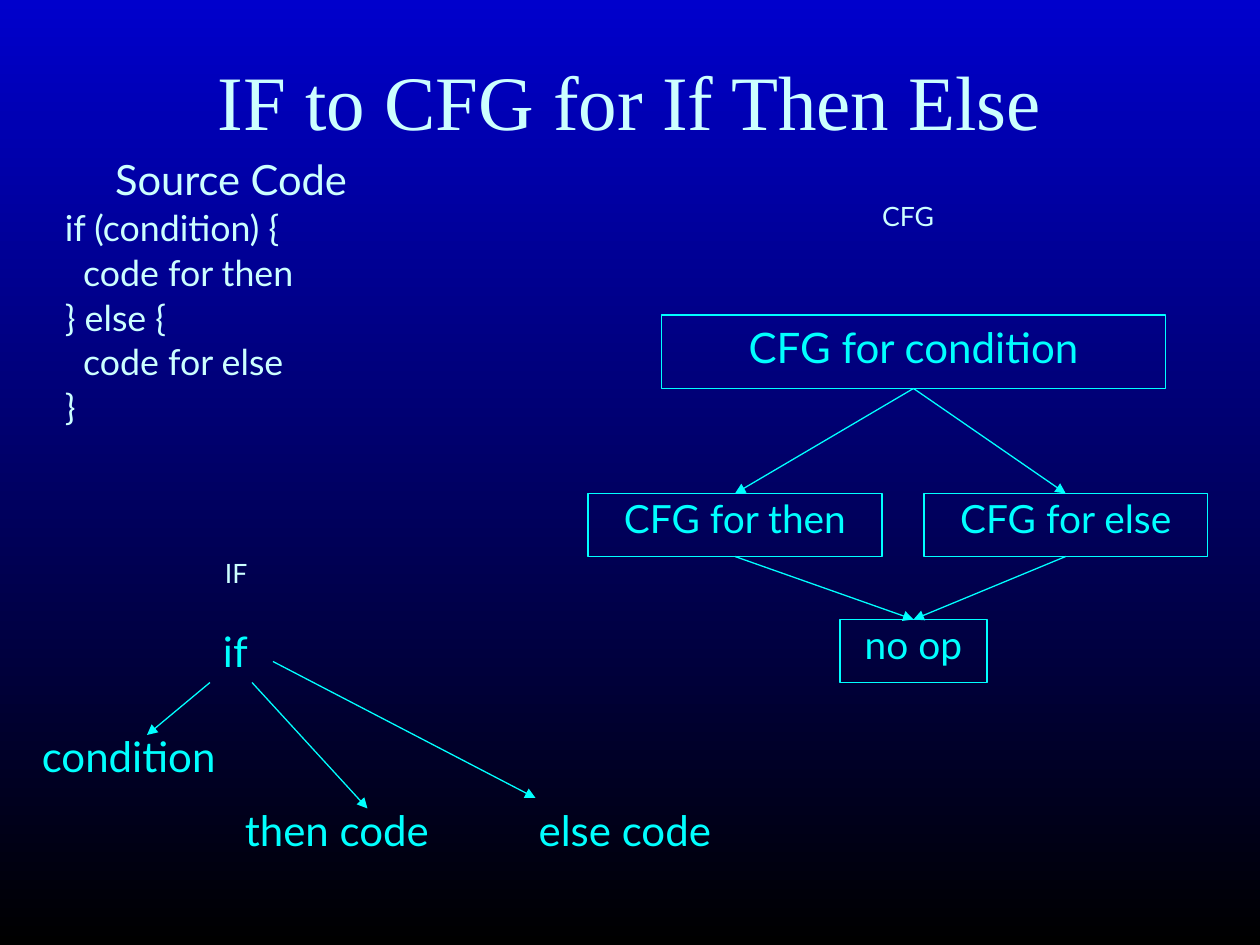
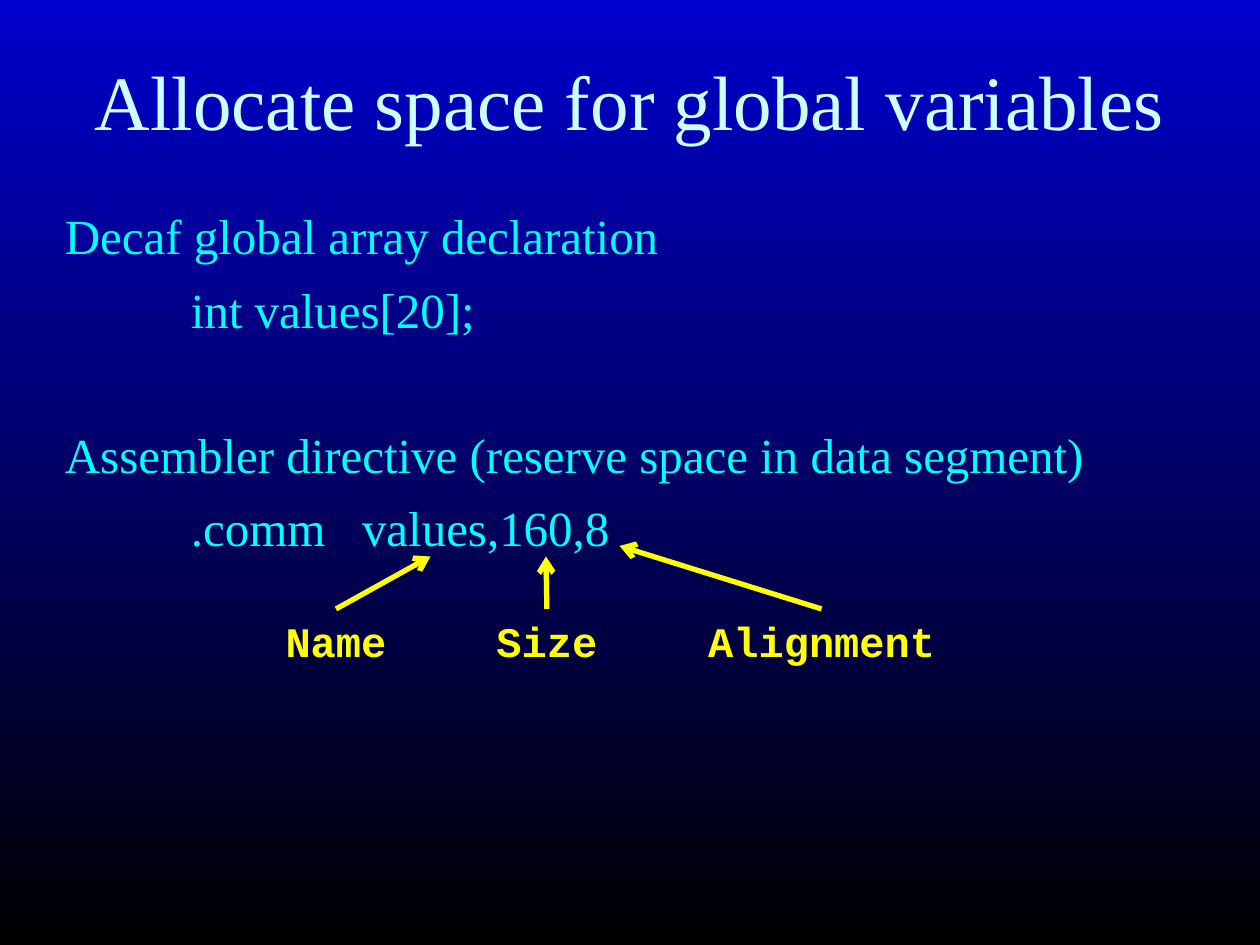
"""Build two compiler slides: control flow for if-then-else, and space for global variables."""
import pptx
import pptx.util
import pptx.dml.color
import pptx.enum.shapes
import pptx.enum.text
import pptx.oxml

Pt = pptx.util.Pt
RGBColor = pptx.dml.color.RGBColor
ALIGN = pptx.enum.text.PP_ALIGN
ANCHOR = pptx.enum.text.MSO_ANCHOR
SHAPE = pptx.enum.shapes.MSO_SHAPE
STRAIGHT = pptx.enum.shapes.MSO_CONNECTOR.STRAIGHT

SKY = RGBColor(0x00, 0x00, 0xCC)
BLACK = RGBColor(0x00, 0x00, 0x00)
PALE = RGBColor(0xCC, 0xFF, 0xFF)
CYAN = RGBColor(0x00, 0xFF, 0xFF)
YELLOW = RGBColor(0xFF, 0xFF, 0x00)
SERIF, SANS, MONO = "Times New Roman", "Lato", "Courier New"
BOTTOM_SITE, TOP_SITE = 2, 0


def write(shape, lines, font, size, color, align=ALIGN.CENTER, wrap=True,
          spacing=1.0, anchor=ANCHOR.TOP, bold=False):
    """Fill a shape with uniformly styled paragraphs and return them."""
    frame = shape.text_frame
    frame.word_wrap = wrap
    frame.vertical_anchor = anchor
    frame.text = "\n".join(lines)
    for paragraph in frame.paragraphs:
        paragraph.alignment = align
        paragraph.line_spacing = spacing
        paragraph.font.name = font
        paragraph.font.size = Pt(size)
        paragraph.font.color.rgb = color
        paragraph.font.bold = bold
    return frame.paragraphs


def arrow(slide, start, end, color, width, head):
    """Draw a straight arrow between two points and return it."""
    line = slide.shapes.add_connector(STRAIGHT, *map(Pt, start + end))
    line.line.color.rgb = color
    line.line.width = Pt(width)
    namespace = pptx.oxml.ns.nsdecls("a")
    line.line._get_or_add_ln().append(
        pptx.oxml.parse_xml(f'<a:tailEnd {namespace} type="{head}"/>'))
    line._element.spPr.append(pptx.oxml.parse_xml(f"<a:effectLst {namespace}/>"))
    return line


deck = pptx.Presentation()
deck.slide_width, deck.slide_height = Pt(720), Pt(540)

backdrop = deck.slide_master.background.fill
backdrop.gradient()
backdrop.gradient_angle = 270
for stop, color, position in zip(backdrop.gradient_stops, (SKY, BLACK), (0, 1)):
    stop.color.rgb = color
    stop.position = position

slides = []
for heading in ("IF to CFG for If Then Else", "Allocate space for global variables"):
    slide = deck.slides.add_slide(deck.slide_layouts[6])
    title = slide.shapes.add_textbox(Pt(30), Pt(12), Pt(660), Pt(90))
    write(title, [heading], SERIF, 44, PALE, anchor=ANCHOR.MIDDLE)
    slides.append(slide)
branching, allocation = slides

source_code = branching.shapes.add_textbox(Pt(30), Pt(90), Pt(204), Pt(210))
caption, *code = write(
    source_code,
    ["Source Code", "if (condition) {", "  code for then", "} else {", "  code for else", "}"],
    SANS, 20.4, PALE, align=ALIGN.LEFT, spacing=0.8)
caption.alignment = ALIGN.CENTER
caption.font.size = Pt(23.8)
for statement in code:
    statement.space_before = Pt(6)

for name, left, top in (("IF", 84, 318), ("CFG", 468, 114)):
    label = branching.shapes.add_textbox(Pt(left), Pt(top), Pt(102), Pt(48))
    write(label, [name], SANS, 15.2, PALE, spacing=0.8)

blocks = {}
for name, left, top, width, height, size, spacing in (
    ("CFG for condition", 378, 180, 288, 42, 24, 1.0),
    ("CFG for then", 336, 282, 168, 36, 22.2, 0.9),
    ("CFG for else", 528, 282, 162, 36, 22.2, 0.9),
    ("no op", 480, 354, 84, 36, 22.2, 0.9),
):
    block = branching.shapes.add_shape(SHAPE.RECTANGLE, Pt(left), Pt(top), Pt(width), Pt(height))
    block.shadow.inherit = False
    block.fill.background()
    block.line.color.rgb = CYAN
    block.line.width = Pt(0.75)
    write(block, [name], SANS, size, CYAN, spacing=spacing)
    blocks[name] = block

for branch in ("CFG for then", "CFG for else"):
    for source, target in (("CFG for condition", branch), (branch, "no op")):
        edge = arrow(branching, (0, 0), (0, 0), CYAN, 0.75, "triangle")
        edge.begin_connect(blocks[source], BOTTOM_SITE)
        edge.end_connect(blocks[target], TOP_SITE)

for node, left, top, width in (
    ("if", 120, 354, 29), ("condition", 13.5, 414, 120),
    ("then code", 129, 456, 127), ("else code", 297, 456, 120),
):
    tree_node = branching.shapes.add_textbox(Pt(left), Pt(top), Pt(width), Pt(36))
    write(tree_node, [node], SANS, 24, CYAN, wrap=False)

for start, end in (((120, 390), (84, 420)), ((144, 390), (210, 462)), ((156, 378), (306, 456))):
    arrow(branching, start, end, CYAN, 0.75, "triangle")

declarations = allocation.shapes.add_textbox(Pt(30), Pt(114), Pt(660), Pt(384))
array, array_code, directive, directive_code = write(
    declarations,
    ["Decaf global array declaration", "int values[20];",
     "Assembler directive (reserve space in data segment)", ".comm   values,160,8"],
    SERIF, 28, CYAN, align=ALIGN.LEFT)
directive.space_before = Pt(49)
for statement in (array_code, directive_code):
    statement.space_before = Pt(8.5)
    statement._p.get_or_add_pPr().set("marL", str(Pt(72)))

for operand, center, width, tip in (
    ("Name", 192, 72, (246, 318)),
    ("Size", 312.5, 72, (312, 318)),
    ("Alignment", 469.5, 144, (354, 312)),
):
    label = allocation.shapes.add_textbox(Pt(center - width / 2), Pt(348), Pt(width), Pt(36))
    write(label, [operand], MONO, 24, YELLOW, wrap=False, bold=True)
    arrow(allocation, (center, 348), tip, YELLOW, 3, "arrow")

deck.save("out.pptx")
